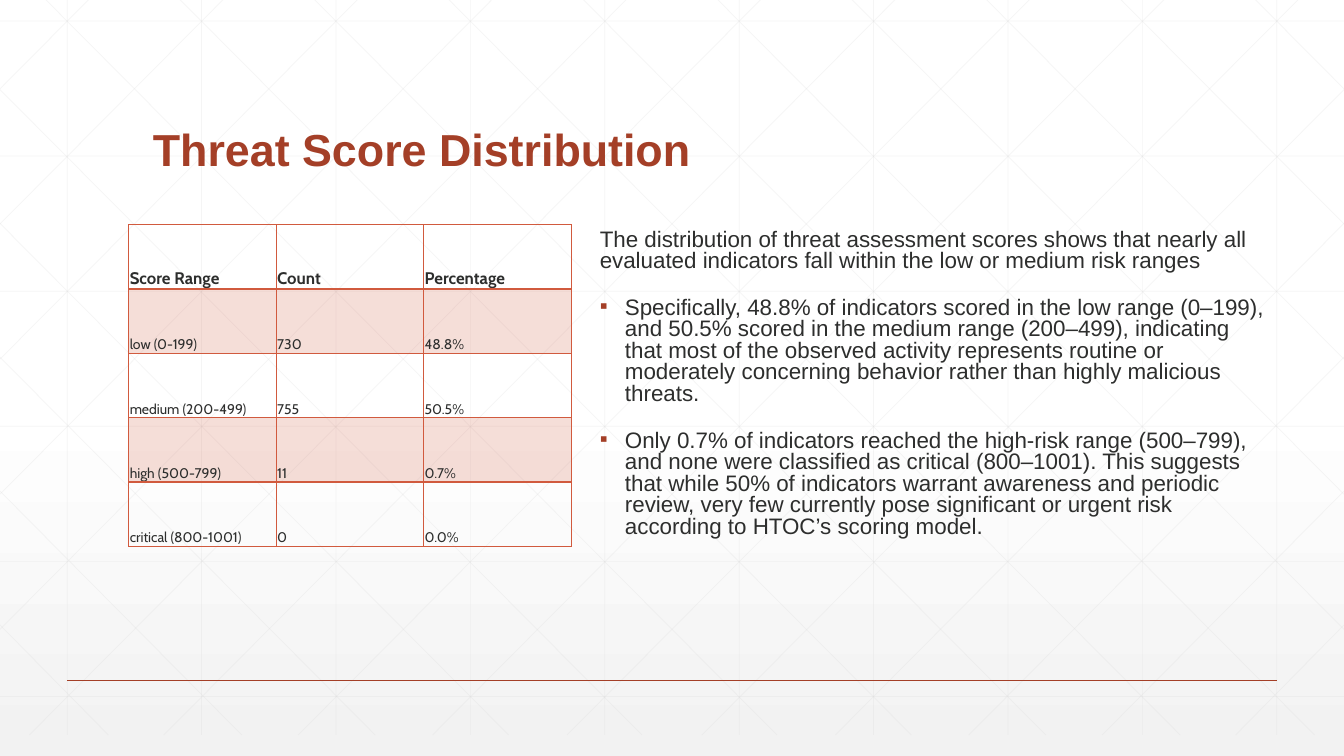
from lxml import etree
from pptx import Presentation
from pptx import util as u
from pptx.dml.color import RGBColor
from pptx.enum import shapes, text
from pptx.oxml import ns

Pt = u.Pt
COLORS = {"accent": "A43F27", "border": "D15A3E", "ink": "2D2E2D",
          "grid": "D9D9D9", "top": "FFFFFF", "bottom": "F2F2F2"}
WIDTH, HEIGHT = 960, 540

SCORES = [
    ("Score Range", "Count", "Percentage"),
    ("low (0-199)", "730", "48.8%"),
    ("medium (200-499)", "755", "50.5%"),
    ("high (500-799)", "11", "0.7%"),
    ("critical (800-1001)", "0", "0.0%"),
]
FINDINGS = [
    "The distribution of threat assessment scores shows that nearly all evaluated "
    "indicators fall within the low or medium risk ranges",
    "Specifically, 48.8% of indicators scored in the low range (0–199), and 50.5% scored "
    "in the medium range (200–499), indicating that most of the observed activity "
    "represents routine or moderately concerning behavior rather than highly malicious threats.",
    "Only 0.7% of indicators reached the high-risk range (500–799), and none were "
    "classified as critical (800–1001). This suggests that while 50% of indicators warrant "
    "awareness and periodic review, very few currently pose significant or urgent risk "
    "according to HTOC’s scoring model.",
]


def rgb(name):
    return RGBColor.from_string(COLORS[name])


def add_xml(parent, tag, **attributes):
    return etree.SubElement(parent, ns.qn(tag), {k: str(v) for k, v in attributes.items()})


def set_alpha(element, percent):
    for color in element.iter(ns.qn("a:srgbClr")):
        add_xml(color, "a:alpha", val=percent * 1000)


def format_runs(paragraph, font, size, color, bold=False):
    for run in paragraph.runs:
        run.font.name = font
        run.font.size = Pt(size)
        run.font.bold = bold
        run.font.color.rgb = rgb(color)


def place(shape, box):
    shape.left, shape.top, shape.width, shape.height = map(Pt, box)


def add_rule(parts, start, end, color, width):
    rule = parts.add_connector(shapes.MSO_CONNECTOR.STRAIGHT, *map(Pt, start + end))
    rule.line.color.rgb = rgb(color)
    rule.line.width = Pt(width)
    add_xml(rule._element.spPr, "a:effectLst")
    return rule


def paint_background(slide):
    fill = slide.background.fill
    fill.gradient()
    fill.gradient_angle = 270
    for stop, position, color in zip(fill.gradient_stops, (0.53, 1), ("top", "bottom")):
        stop.position = position
        stop.color.rgb = rgb(color)


def add_lattice(slide, box):
    left, top, width, height = box
    right, bottom = left + width, top + height
    slope = height / 537
    segments = [((x, top), (x, bottom)) for x in range(left + 48, right, 96)]
    segments += [((left, top + 30 + 96.5 * i), (right, top + 30 + 96.5 * i)) for i in range(6)]
    diagonals = []
    for x in range(left + 18, right, 96):
        end = min(x + 537, right)
        diagonals.append(((x, top), (end, top + (end - x) * slope)))
    for i in range(5):
        diagonals.append(((left, top + 79 + 95.6 * i), (left + 458.6 - 95.3 * i, bottom)))
    mirrored = [tuple((left + right - x, y) for x, y in line) for line in diagonals]

    lattice = slide.shapes.add_group_shape()
    for start, end in segments + diagonals + mirrored:
        rule = add_rule(lattice.shapes, start, end, "grid", 0.5)
        set_alpha(rule._element, 25)
    slide.shapes._spTree.insert(2, lattice._element)


def add_title(slide, box):
    title = slide.shapes.title
    place(title, box)
    frame = title.text_frame
    frame.text = "Threat Score Distribution"
    frame.auto_size = text.MSO_AUTO_SIZE.NONE
    frame.vertical_anchor = text.MSO_ANCHOR.BOTTOM
    heading = frame.paragraphs[0]
    heading.alignment = text.PP_ALIGN.LEFT
    heading.line_spacing = 0.9
    format_runs(heading, "Arial", 32, "accent", True)


def set_borders(cell, row):
    properties = cell._tc.get_or_add_tcPr()
    widths = {"L": 1, "R": 1, "T": 2 if row == 1 else 1, "B": 2 if row == 0 else 1}
    for side, width in widths.items():
        border = add_xml(properties, f"a:ln{side}", w=Pt(width))
        add_xml(add_xml(border, "a:solidFill"), "a:srgbClr", val=COLORS["border"])


def add_scores(slide, box):
    frame = slide.shapes.add_table(len(SCORES), len(SCORES[0]), *map(Pt, box))
    scores = frame.table
    scores.first_row = scores.horz_banding = False
    for column in scores.columns:
        column.width = Pt(box[2] / len(SCORES[0]))
    for r, values in enumerate(SCORES):
        scores.rows[r].height = Pt(box[3] / len(SCORES))
        for c, value in enumerate(values):
            cell = scores.cell(r, c)
            cell.text = value
            cell.vertical_anchor = text.MSO_ANCHOR.BOTTOM
            cell.margin_left = cell.margin_right = cell.margin_top = Pt(0.7)
            cell.margin_bottom = 0
            format_runs(cell.text_frame.paragraphs[0], "Cabin", 10 if r else 12, "ink", r == 0)
            set_borders(cell, r)
            if r % 2:
                cell.fill.solid()
                cell.fill.fore_color.rgb = rgb("border")
                set_alpha(cell._tc.tcPr.find(ns.qn("a:solidFill")), 20)
            else:
                cell.fill.background()


def add_findings(slide, box):
    findings = slide.placeholders[1]
    place(findings, box)
    frame = findings.text_frame
    frame.text = "\n".join(FINDINGS)
    frame.auto_size = text.MSO_AUTO_SIZE.NONE
    for i, finding in enumerate(frame.paragraphs):
        properties = finding._p.get_or_add_pPr()
        indent = Pt(18) if i else 0
        properties.set("marL", str(indent))
        properties.set("indent", str(-indent))
        if i:
            add_xml(add_xml(properties, "a:buClr"), "a:srgbClr", val=COLORS["accent"])
            add_xml(properties, "a:buFont", typeface="Arial")
            add_xml(properties, "a:buChar", char="▪")
        else:
            add_xml(properties, "a:buNone")
        finding.line_spacing = 0.8
        finding.space_before = Pt(18 if i else 0)
        format_runs(finding, "Arial", 16, "ink")


def main():
    deck = Presentation()
    deck.slide_width, deck.slide_height = Pt(WIDTH), Pt(HEIGHT)
    slide = deck.slides.add_slide(deck.slide_layouts[1])
    paint_background(slide)
    add_lattice(slide, (0, -15, WIDTH, HEIGHT))
    add_rule(slide.shapes, (48, 486), (912, 486), "accent", 1)
    add_title(slide, (102, 39.6, 756, 90))
    add_scores(slide, (92, 160.6, 316, 229.7))
    add_findings(slide, (421.2, 160.6, 492, 248.4))
    deck.save("out.pptx")


if __name__ == "__main__":
    main()
